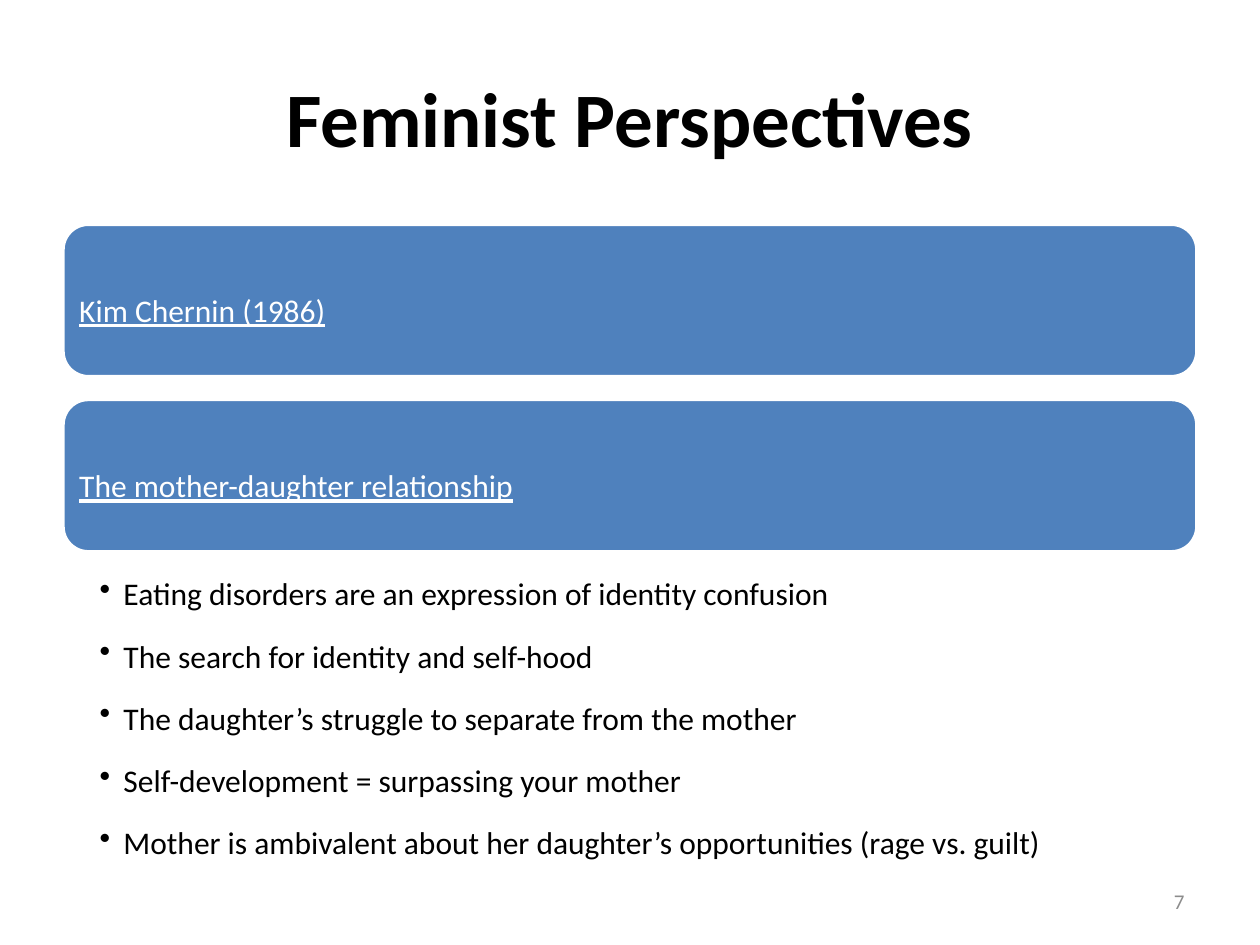
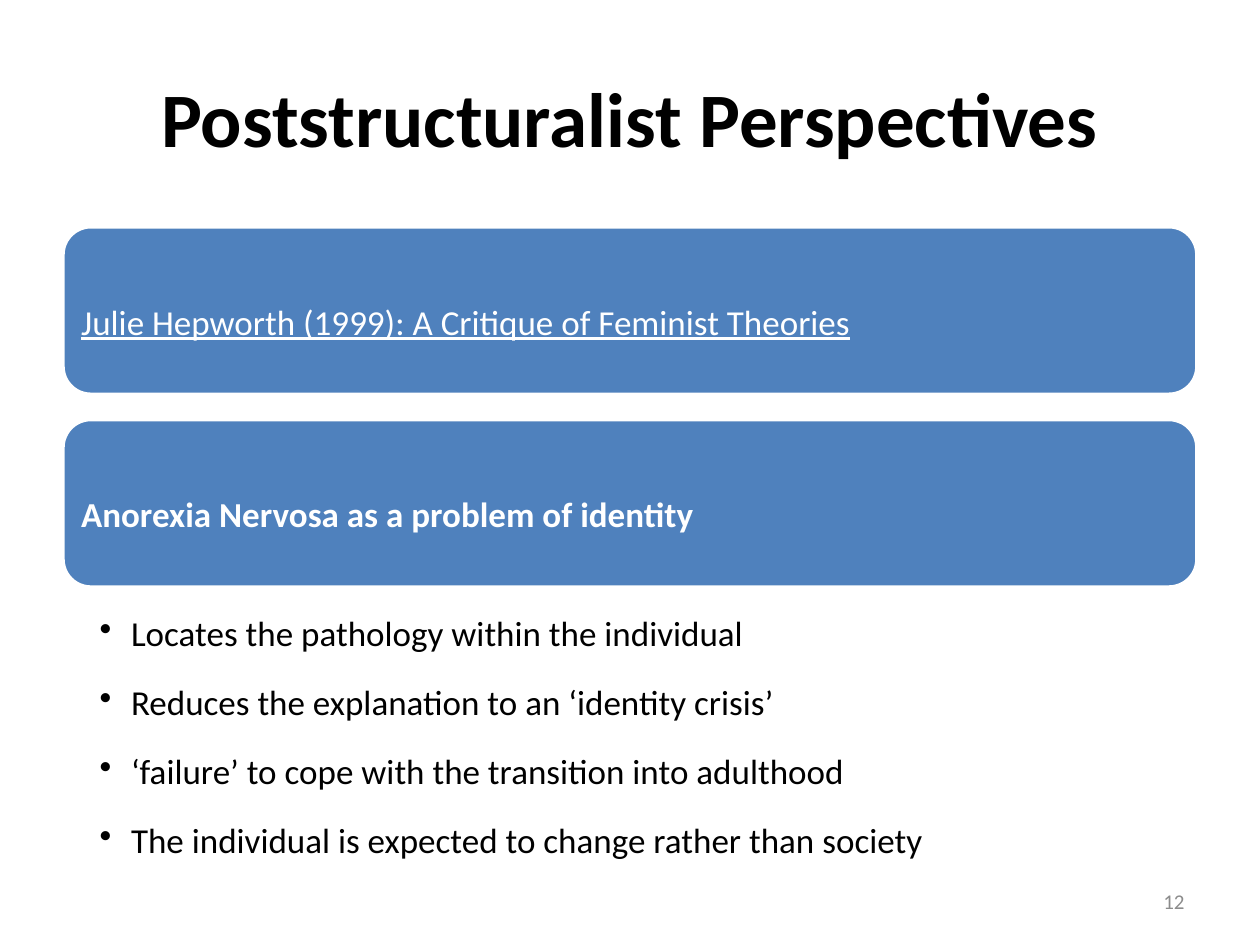
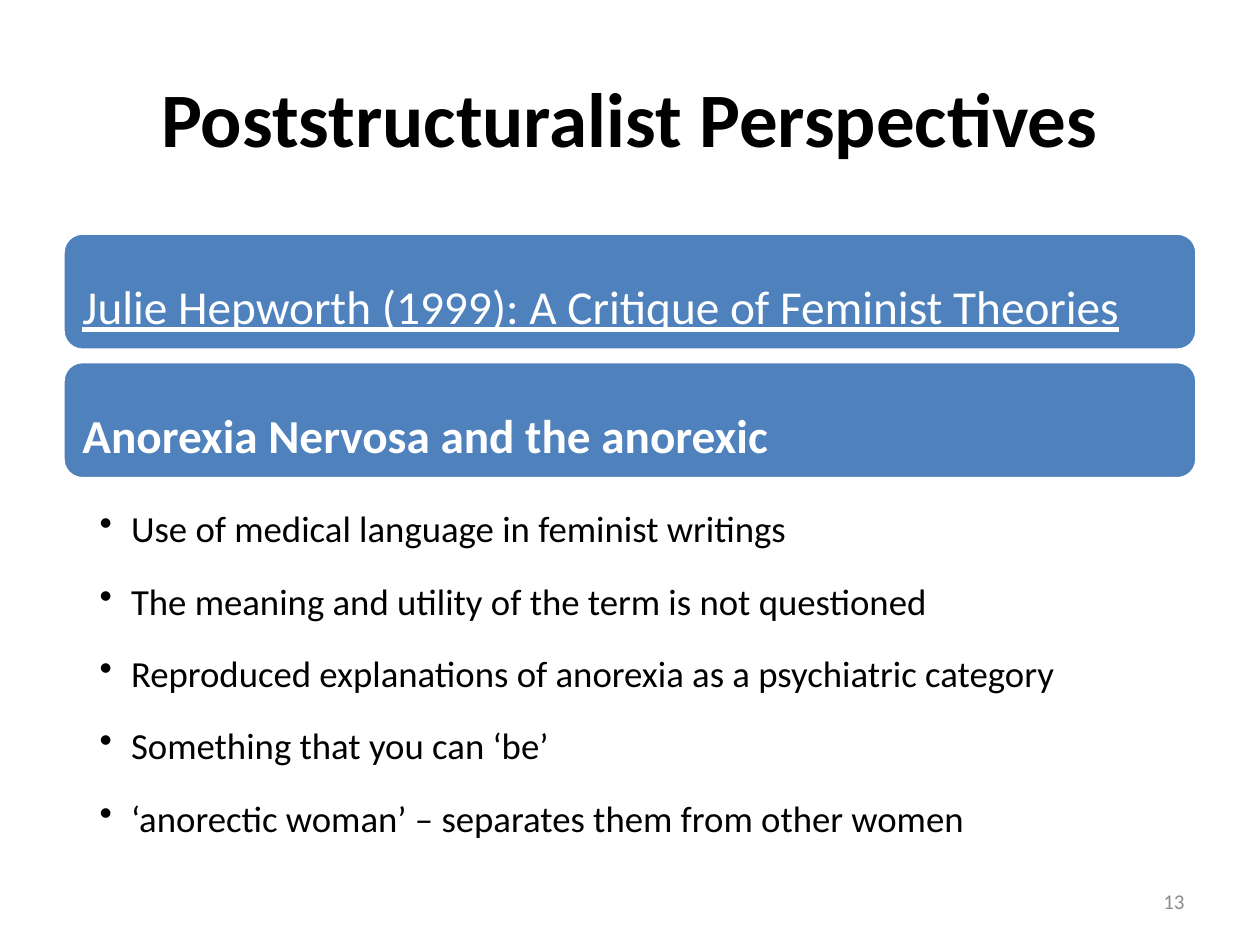
from lxml import etree
from pptx import Presentation
from pptx.dml.color import RGBColor
from pptx.enum import shapes, text
from pptx.oxml import ns
from pptx.util import Inches, Pt

BLUE, WHITE, BLACK, GREY = "4F81BD", "FFFFFF", "000000", "8C8C8C"
LEFT, WIDE = 0.5, 9


def style(par, size, color, bold=False, under=False):
    for run in par.runs:
        font = run.font
        font.name, font.size = "Calibri", Pt(size)
        font.bold, font.underline = bold, under
        font.color.rgb = RGBColor.from_string(color)


def inset(frame, left, top, right, bottom):
    frame.word_wrap = True
    frame.margin_left, frame.margin_top = Inches(left), Inches(top)
    frame.margin_right, frame.margin_bottom = Inches(right), Inches(bottom)


# Wording and sizes of each slide; a band is (text, bold)
critique = ("Julie Hepworth (1999): A Critique of Feminist Theories", False)
pages = [
    dict(title="Feminist Perspectives", num="7",
         bands=[("Kim Chernin (1986)", False),
                ("The mother-daughter relationship", False)],
         top=1.78, high=1.21, step=1.39, pad=0.07, size=18,
         points=["Eating disorders are an expression of identity confusion",
                 "The search for identity and self-hood",
                 "The daughter’s struggle to separate from the mother",
                 "Self-development = surpassing your mother",
                 "Mother is ambivalent about her daughter’s opportunities "
                 "(rage vs. guilt)"],
         depth=2.54, small=18, hang=0.19, edge=0.03, right=0.14),
    dict(title="Poststructuralist Perspectives", num="12",
         bands=[critique, ("Anorexia Nervosa as a problem of identity", True)],
         top=1.8, high=1.33, step=1.53, pad=0.08, size=20,
         points=["Locates the pathology within the individual",
                 "Reduces the explanation to an ‘identity crisis’",
                 "‘failure’ to cope with the transition into adulthood",
                 "The individual is expected to change rather than society"],
         depth=2.24, small=20, hang=0.25, edge=0.03, right=0.16),
    dict(title="Poststructuralist Perspectives", num="13",
         bands=[critique, ("Anorexia Nervosa and the anorexic", True)],
         top=1.85, high=0.93, step=1.02, pad=0.11, size=27,
         points=["Use of medical language in feminist writings",
                 "The meaning and utility of the term is not questioned",
                 "Reproduced explanations of anorexia as a psychiatric category",
                 "Something that you can ‘be’",
                 "‘anorectic woman’ – separates them from other women"],
         depth=2.99, small=21, hang=0.25, edge=0.04, right=0.21),
]

deck = Presentation()
deck.slide_width, deck.slide_height = Inches(10), Inches(7.5)

for page in pages:
    slide = deck.slides.add_slide(deck.slide_layouts[5])

    # Title
    title = slide.shapes.title
    title.left, title.top = Inches(LEFT), Inches(0.3)
    title.width, title.height = Inches(WIDE), Inches(1.25)
    title.text_frame.text = page["title"]
    title.text_frame.vertical_anchor = text.MSO_ANCHOR.MIDDLE
    par = title.text_frame.paragraphs[0]
    par.alignment = text.PP_ALIGN.CENTER
    style(par, 44, BLACK, bold=True)

    # Page number
    box = slide.shapes.add_textbox(Inches(7.17), Inches(6.95), Inches(2.33), Inches(0.4))
    frame = box.text_frame
    frame.text = page["num"]
    frame.word_wrap = True
    frame.vertical_anchor = text.MSO_ANCHOR.MIDDLE
    par = frame.paragraphs[0]
    par.alignment = text.PP_ALIGN.RIGHT
    style(par, 12, GREY)

    # Blue bands
    for row, (words, bold) in enumerate(page["bands"]):
        top = page["top"] + row * page["step"]
        band = slide.shapes.add_shape(
            shapes.MSO_SHAPE.ROUNDED_RECTANGLE,
            Inches(LEFT), Inches(top), Inches(WIDE), Inches(page["high"]))
        band.shadow.inherit = False
        band.fill.solid()
        band.fill.fore_color.rgb = RGBColor.from_string(BLUE)
        band.line.color.rgb = RGBColor.from_string(WHITE)
        band.line.width = Pt(2)
        frame = band.text_frame
        frame.text = words
        frame.vertical_anchor = text.MSO_ANCHOR.MIDDLE
        inset(frame, *[page["pad"]] * 4)
        par = frame.paragraphs[0]
        par.alignment = text.PP_ALIGN.LEFT
        par.line_spacing = 1.5
        style(par, page["size"], WHITE, bold=bold, under=not bold)

    # Bullet list right below the last band
    box = slide.shapes.add_textbox(
        Inches(LEFT), Inches(top + page["high"]), Inches(WIDE), Inches(page["depth"]))
    frame = box.text_frame
    frame.text = "\n".join(page["points"])
    inset(frame, 0.29, page["edge"], page["right"], page["edge"])
    for par in frame.paragraphs:
        par.level = 1
        par.line_spacing = 1.5
        par.space_after = Pt(page["small"] * 0.17)
        style(par, page["small"], BLACK)
        props = par._p.get_or_add_pPr()
        props.set("marL", str(Inches(page["hang"])))
        props.set("indent", str(-Inches(page["hang"])))
        etree.SubElement(props, ns.qn("a:buChar")).set("char", "•")

deck.save("out.pptx")
